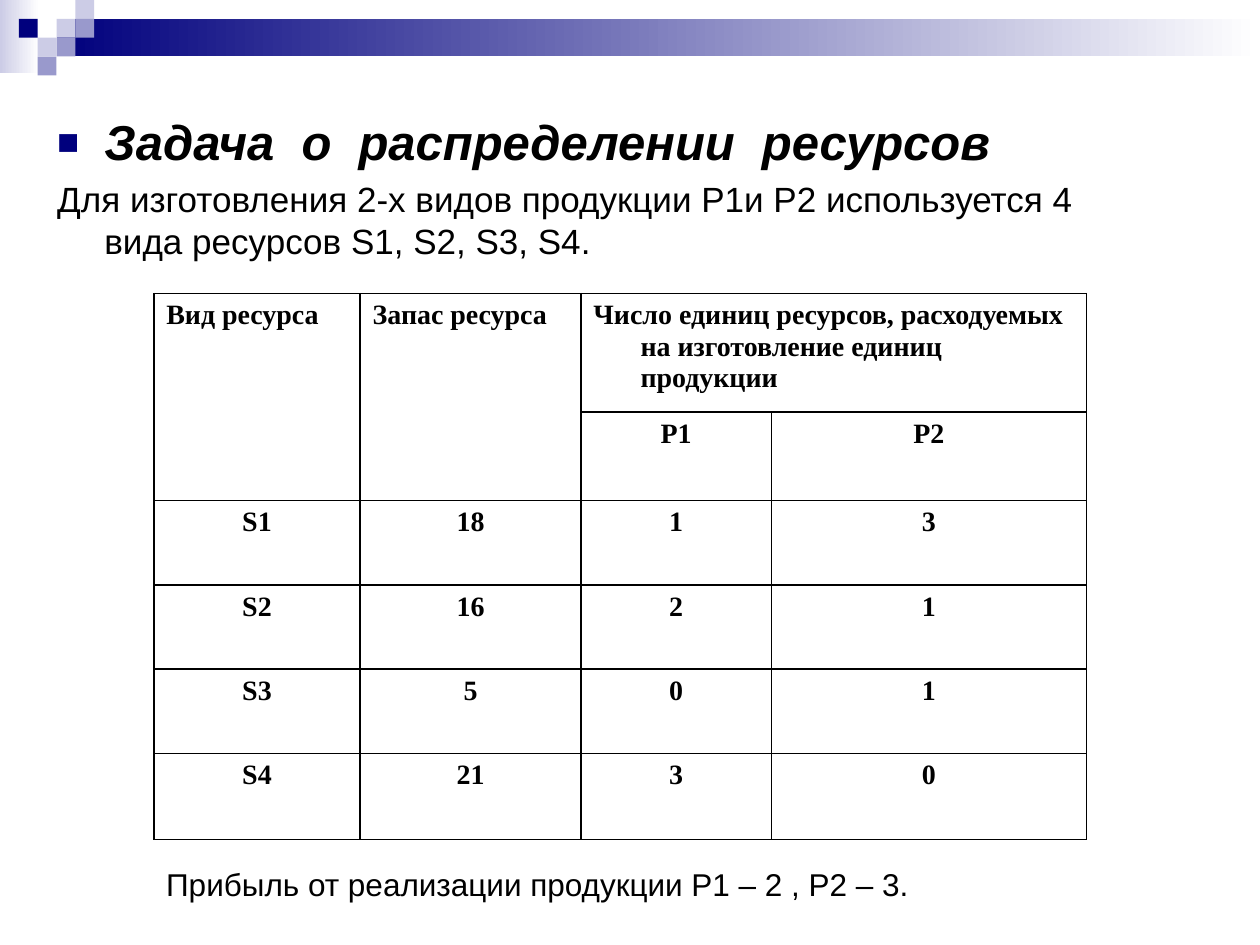
from pptx import Presentation
from pptx.dml.color import RGBColor as RGB
from pptx.enum.shapes import MSO_SHAPE as SHAPE
from pptx.enum.text import MSO_ANCHOR as ANCHOR, MSO_AUTO_SIZE as AUTO, PP_ALIGN as ALIGN
from pptx.oxml import parse_xml
from pptx.oxml.ns import nsdecls
from pptx.util import Cm, Pt

COLORS = {"navy": "00007D", "mid": "9999CC", "pale": "CCCCE6", "white": "FFFFFF", "black": "000000"}
HEADING = "Задача  о  распределении  ресурсов"
INTRO = "Для изготовления 2-х видов продукции P1и P2 используется 4 вида ресурсов S1, S2, S3, S4."
PROFIT = "Прибыль от реализации продукции Р1 – 2 , Р2 – 3."
ROWS = [
    ["Вид ресурса", "Запас ресурса", "Число единиц ресурсов, расходуемых на изготовление единиц продукции", ""],
    ["", "", "P1", "P2"],
    ["S1", "18", "1", "3"],
    ["S2", "16", "2", "1"],
    ["S3", "5", "0", "1"],
    ["S4", "21", "3", "0"],
]
HEAD_ALIGN = [ALIGN.LEFT, ALIGN.JUSTIFY, ALIGN.LEFT]
MERGES = [((0, 0), (1, 0)), ((0, 1), (1, 1)), ((0, 2), (0, 3))]
COL_WIDTHS = [4.16, 4.45, 3.84, 6.35]
ROW_HEIGHTS = [2.39, 1.78, 1.7, 1.7, 1.7, 1.73]
BANDS = [(0, 0, 0.79, 1.47, "pale"), (1.14, 0.38, 24.26, 0.76, "navy")]
SQUARE = 0.38
SQUARES = [(3, 1, "pale"), (4, 0, "pale"), (4, 1, "mid"), (2, 2, "pale"),
           (1, 1, "navy"), (3, 2, "mid"), (2, 3, "mid")]
HANG = Cm(0.95)


def rgb(name):
    return RGB.from_string(COLORS[name])


def add_rect(s, x, y, w, h):
    sp = s.shapes.add_shape(SHAPE.RECTANGLE, Cm(x), Cm(y), Cm(w), Cm(h))
    sp.shadow.inherit = False
    sp.line.fill.background()
    return sp


def add_run(p, text, size, font="Arial", bold=False, italic=False):
    r = p.add_run()
    r.text = text
    f = r.font
    f.name, f.size, f.bold, f.italic = font, Pt(size), bold, italic
    f.color.rgb = rgb("black")


def set_indent(p, bullet=False):
    pPr = p._p.get_or_add_pPr()
    pPr.set("marL", str(HANG))
    pPr.set("indent", str(-HANG))
    if bullet:
        marks = [f'<a:buClr {nsdecls("a")}><a:srgbClr val="{COLORS["navy"]}"/></a:buClr>',
                 f'<a:buSzPct {nsdecls("a")} val="75000"/>',
                 f'<a:buFont {nsdecls("a")} typeface="Arial"/>',
                 f'<a:buChar {nsdecls("a")} char="■"/>']
    else:
        marks = [f'<a:buNone {nsdecls("a")}/>']
    for mark in marks:
        pPr.append(parse_xml(mark))


def set_borders(cell):
    tcPr = cell._tc.get_or_add_tcPr()
    for side in "LRTB":
        tcPr.append(parse_xml(
            f'<a:ln{side} {nsdecls("a")} w="{Pt(1)}"><a:solidFill>'
            f'<a:srgbClr val="{COLORS["black"]}"/></a:solidFill></a:ln{side}>'))
    cell.fill.background()


def add_decor(s):
    for x, y, w, h, color in BANDS:
        fill = add_rect(s, x, y, w, h).fill
        fill.gradient()
        fill.gradient_angle = 0
        for stop, name in zip(fill.gradient_stops, (color, "white")):
            stop.color.rgb = rgb(name)
    for col, row, color in SQUARES:
        fill = add_rect(s, col * SQUARE, row * SQUARE, SQUARE, SQUARE).fill
        fill.solid()
        fill.fore_color.rgb = rgb(color)


def add_body(s):
    title = s.shapes.title
    title._element.getparent().remove(title._element)
    body = s.placeholders[1]
    body.left, body.top, body.width, body.height = Cm(0.9), Cm(2.13), Cm(22), Cm(3)
    tf = body.text_frame
    tf.word_wrap, tf.auto_size, tf.vertical_anchor = True, AUTO.NONE, ANCHOR.TOP
    for i, (text, size) in enumerate([(HEADING, 28), (INTRO, 20)]):
        first = i == 0
        p = tf.paragraphs[0] if first else tf.add_paragraph()
        p.space_before = Pt(size * 0.2)
        set_indent(p, bullet=first)
        add_run(p, text, size, bold=first, italic=first)


def add_resources(s):
    table = s.shapes.add_table(len(ROWS), len(COL_WIDTHS), Cm(3.1), Cm(5.92),
                               Cm(sum(COL_WIDTHS)), Cm(sum(ROW_HEIGHTS))).table
    table.first_row = table.horz_banding = False
    for col, width in zip(table.columns, COL_WIDTHS):
        col.width = Cm(width)
    for row, height in zip(table.rows, ROW_HEIGHTS):
        row.height = Cm(height)
    for start, end in MERGES:
        table.cell(*start).merge(table.cell(*end))
    for i, row in enumerate(ROWS):
        for j, text in enumerate(row):
            cell = table.cell(i, j)
            set_borders(cell)
            if text:
                p = cell.text_frame.paragraphs[0]
                p.alignment = HEAD_ALIGN[j] if i == 0 else ALIGN.CENTER
                set_indent(p)
                add_run(p, text, 16, "Times New Roman", bold=True)


def add_profit(s):
    tf = s.shapes.add_textbox(Cm(3.1), Cm(17.32), Cm(19.8), Cm(1.02)).text_frame
    tf.word_wrap, tf.auto_size = True, AUTO.SHAPE_TO_FIT_TEXT
    p = tf.paragraphs[0]
    p.space_before = Pt(9)
    add_run(p, PROFIT, 18)


def main():
    prs = Presentation()
    prs.slide_width, prs.slide_height = Cm(25.4), Cm(19.05)
    s = prs.slides.add_slide(prs.slide_layouts[1])
    add_decor(s)
    add_body(s)
    add_resources(s)
    add_profit(s)
    prs.save("out.pptx")


if __name__ == "__main__":
    main()
